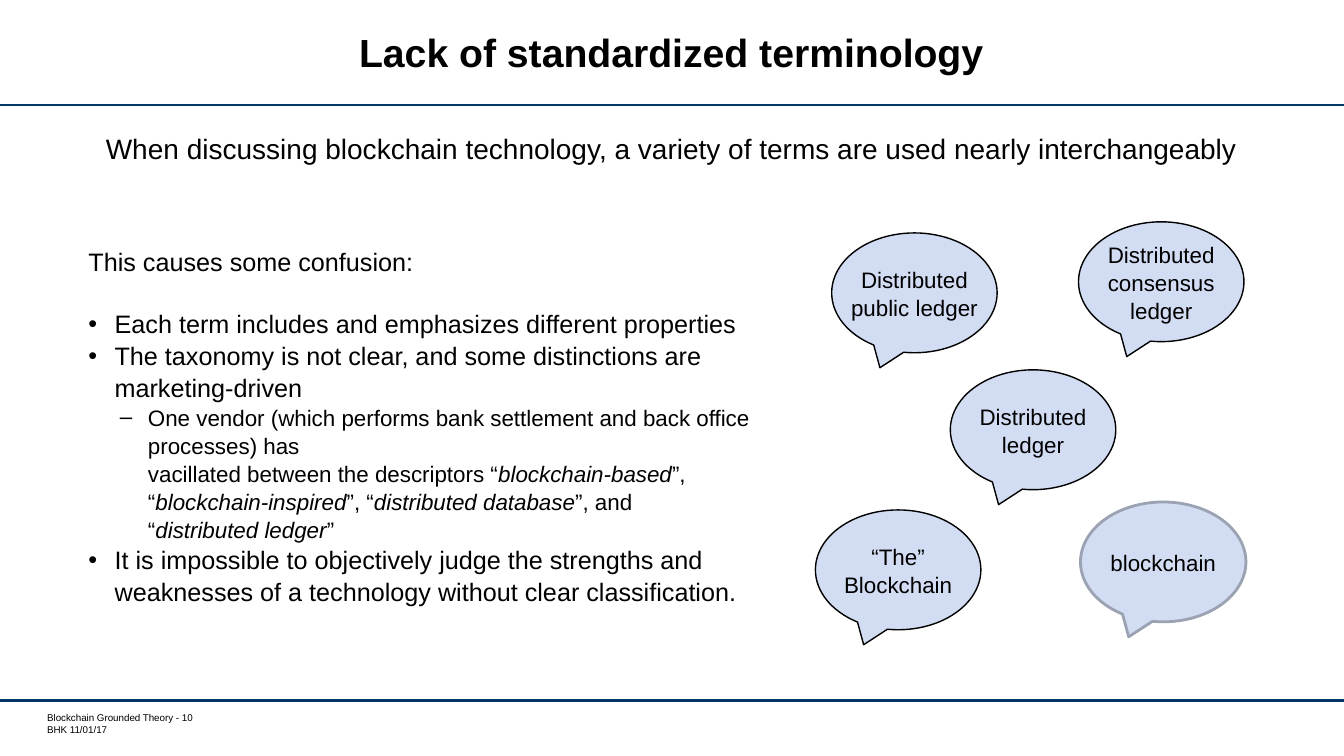
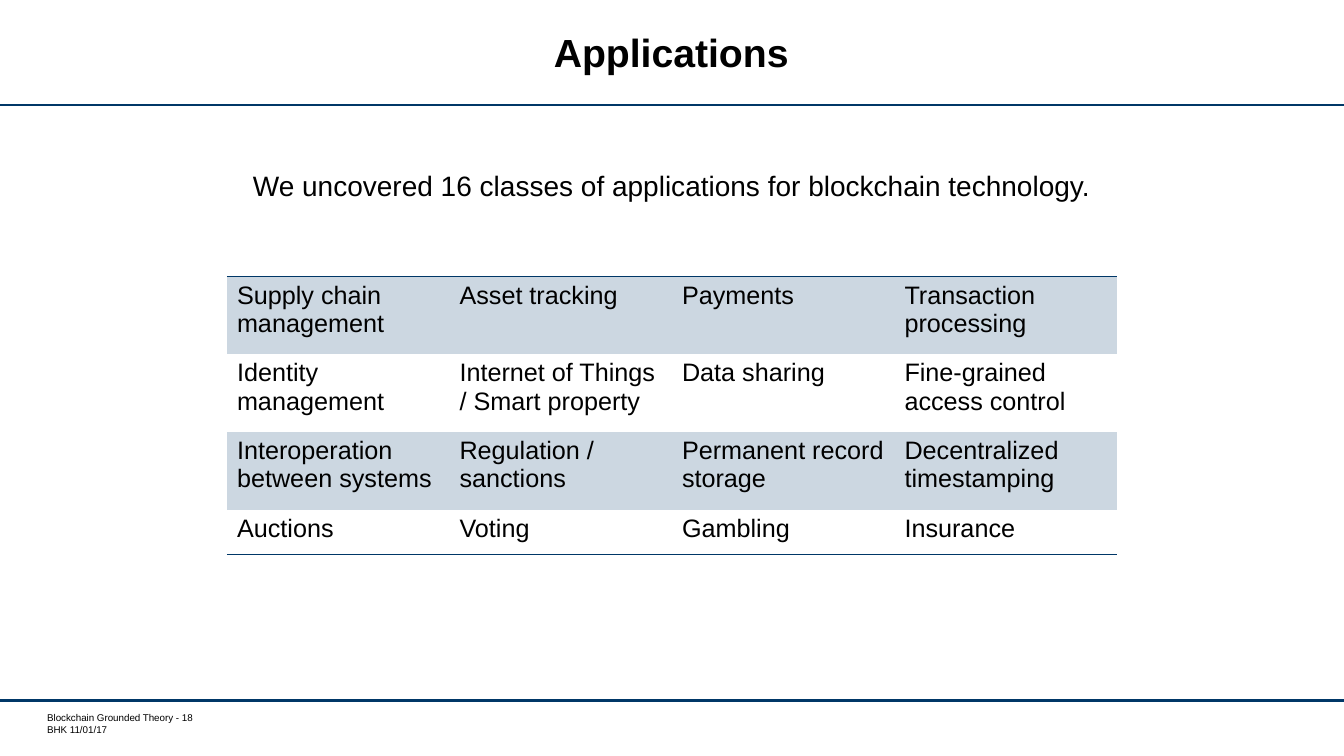
from lxml import etree
from pptx import Presentation
from pptx.dml.color import RGBColor
from pptx.enum.shapes import MSO_CONNECTOR, MSO_SHAPE
from pptx.enum.text import MSO_ANCHOR, PP_ALIGN
from pptx.oxml.ns import qn
from pptx.util import Cm, Pt

CENTER, LEFT = PP_ALIGN.CENTER, PP_ALIGN.LEFT
MIDDLE, TOP = MSO_ANCHOR.MIDDLE, MSO_ANCHOR.TOP
LINE, BUBBLE = MSO_CONNECTOR.STRAIGHT, MSO_SHAPE.OVAL_CALLOUT

FONT = "Arial"
NAVY, BLACK, GRAY = "003767", "000000", "9BA3B3"
PALE, BAND = "D2DCF2", "CCD7E1"
WIDE, HIGH = 33.87, 19.05
RULES = (2.64, 17.65)
PLAIN_GRID = "{2D5ABB26-0587-4C30-8999-92F81FD0307C}"

# Bullet levels: mark, left margin, hanging indent (cm), text size
LEVELS = {1: ("•", 0.66, 0.66, 18), 2: ("–", 1.5, 0.71, 16)}

TERMS = {
    "title": "Lack of standardized terminology",
    "page": 10,
    "lead": "When discussing blockchain technology, a variety of terms "
            "are used nearly interchangeably",
    "intro": "This causes some confusion:",
    # Text between asterisks is italic
    "points": [
        (1, "Each term includes and emphasizes different properties"),
        (1, "The taxonomy is not clear, and some distinctions are "
            "marketing-driven"),
        (2, "One vendor (which performs bank settlement and back office "
            "processes) has\nvacillated between the descriptors "
            "“*blockchain-based*”, “*blockchain-inspired*”, "
            "“*distributed database*”, and\n“*distributed ledger*”"),
        (1, "It is impossible to objectively judge the strengths and "
            "weaknesses of a technology without clear classification."),
    ],
    # Left, top, text, outline colour, outline width
    "bubbles": [
        (27.23, 12.65, "blockchain", GRAY, 2),
        (20.55, 12.85, "“The”\nBlockchain", BLACK, 1),
        (23.95, 9.32, "Distributed\nledger", BLACK, 1),
        (20.96, 5.87, "Distributed\npublic ledger", BLACK, 1),
        (27.18, 5.59, "Distributed\nconsensus\nledger", BLACK, 1),
    ],
}

USES = {
    "title": "Applications",
    "page": 18,
    "lead": "We uncovered 16 classes of applications for blockchain "
            "technology.",
    "rows": [
        ("Supply chain management", "Asset tracking", "Payments",
         "Transaction processing"),
        ("Identity management", "Internet of Things / Smart property",
         "Data sharing", "Fine-grained access control"),
        ("Interoperation between systems", "Regulation / sanctions",
         "Permanent record storage", "Decentralized timestamping"),
        ("Auctions", "Voting", "Gambling", "Insurance"),
    ],
    "heights": (1.96, 1.96, 1.96, 1.13),
}


def color(code):
    return RGBColor.from_string(code)


def write(frame, text, size=18, bold=False, align=LEFT, pitch=None,
          after=0, level=None):
    """Add one paragraph; *...* is italic and a newline breaks the line."""
    para = frame.paragraphs[0]
    if para.runs:
        para = frame.add_paragraph()
    para.alignment, para.line_spacing = align, pitch
    para.space_before, para.space_after = Pt(0), Pt(after)
    if level:
        mark, margin, hang, size = LEVELS[level]
        props = para._p.get_or_add_pPr()
        props.set("marL", str(Cm(margin)))
        props.set("indent", str(-Cm(hang)))
        etree.SubElement(props, qn("a:buFont")).set("typeface", FONT)
        etree.SubElement(props, qn("a:buChar")).set("char", mark)
    for i, part in enumerate(text.split("*")):
        for j, line in enumerate(part.split("\n")):
            if j:
                para.add_line_break()
            run = para.add_run()
            run.text = line
            font = run.font
            font.name, font.size, font.bold = FONT, Pt(size), bold
            font.italic = i % 2 == 1
            font.color.rgb = color(BLACK)


def add_box(slide, left, top, width, height, anchor=TOP, inset=True):
    box = slide.shapes.add_textbox(Cm(left), Cm(top), Cm(width), Cm(height))
    frame = box.text_frame
    frame.word_wrap, frame.vertical_anchor = True, anchor
    if not inset:
        frame.margin_left = frame.margin_right = 0
        frame.margin_top = frame.margin_bottom = 0
    return frame


def add_rule(slide, top):
    rule = slide.shapes.add_connector(LINE, 0, Cm(top), Cm(WIDE), Cm(top))
    rule.line.color.rgb, rule.line.width = color(NAVY), Pt(1.75)
    etree.SubElement(rule._element.spPr, qn("a:effectLst"))


def add_slide(deck, data):
    """Make a slide with the shared rules, footer and title."""
    slide = deck.slides.add_slide(deck.slide_layouts[6])
    for top in RULES:
        add_rule(slide, top)
    foot = add_box(slide, 1.19, 17.93, 6, 0.61, inset=False)
    write(foot, f"Blockchain Grounded Theory - {data['page']}", size=7)
    write(foot, "BHK 11/01/17", size=7)
    head = add_box(slide, 3.48, 0.28, 26.87, 2.26, anchor=MIDDLE)
    write(head, data["title"], size=28, bold=True, align=CENTER,
          pitch=Pt(28))
    return slide


def add_bubble(slide, left, top, text, edge, weight):
    shape = slide.shapes.add_shape(BUBBLE, Cm(left), Cm(top),
                                   Cm(4.17), Cm(3.02))
    shape.shadow.inherit = False
    shape.fill.solid()
    shape.fill.fore_color.rgb = color(PALE)
    shape.line.color.rgb, shape.line.width = color(edge), Pt(weight)
    frame = shape.text_frame
    frame.word_wrap, frame.vertical_anchor = False, MIDDLE
    write(frame, text, size=16, align=CENTER, pitch=1.05)


def add_edge(cell, side):
    """Draw one cell border; side is lnT or lnB."""
    edge = etree.Element(qn(f"a:{side}"), w=str(Pt(1)))
    fill = etree.SubElement(edge, qn("a:solidFill"))
    etree.SubElement(fill, qn("a:srgbClr")).set("val", NAVY)
    cell._tc.get_or_add_tcPr().insert(0, edge)


def add_grid(slide, rows, heights):
    count = len(rows[0])
    width = 22.43
    table = slide.shapes.add_table(
        len(rows), count, Cm(5.72), Cm(6.96), Cm(width),
        Cm(sum(heights))).table
    table.first_row = table.horz_banding = False
    table._tbl.tblPr.find(qn("a:tableStyleId")).text = PLAIN_GRID
    for column in table.columns:
        column.width = Cm(width / count)
    for r, texts in enumerate(rows):
        table.rows[r].height = Cm(heights[r])
        for c, text in enumerate(texts):
            cell = table.cell(r, c)
            write(cell.text_frame, text)
            if r % 2:
                cell.fill.background()
            else:
                cell.fill.solid()
                cell.fill.fore_color.rgb = color(BAND)
            if r == 0:
                add_edge(cell, "lnT")
            if r == len(rows) - 1:
                add_edge(cell, "lnB")


def build_terms(deck):
    slide = add_slide(deck, TERMS)
    lead = add_box(slide, 1.19, 3.18, 31.47, 1.78)
    write(lead, TERMS["lead"], size=20, align=CENTER)
    body = add_box(slide, 1.98, 6.05, 17.53, 8.38)
    write(body, TERMS["intro"], pitch=1.05, after=21.7)
    for level, text in TERMS["points"]:
        write(body, text, level=level, pitch=1.05)
    for bubble in TERMS["bubbles"]:
        add_bubble(slide, *bubble)


def build_uses(deck):
    slide = add_slide(deck, USES)
    lead = add_box(slide, 1.93, 4.22, 30, 1.07)
    write(lead, USES["lead"], size=20, align=CENTER, pitch=0.9)
    add_grid(slide, USES["rows"], USES["heights"])


def main():
    deck = Presentation()
    deck.slide_width, deck.slide_height = Cm(WIDE), Cm(HIGH)
    build_terms(deck)
    build_uses(deck)
    deck.save("out.pptx")


if __name__ == "__main__":
    main()
